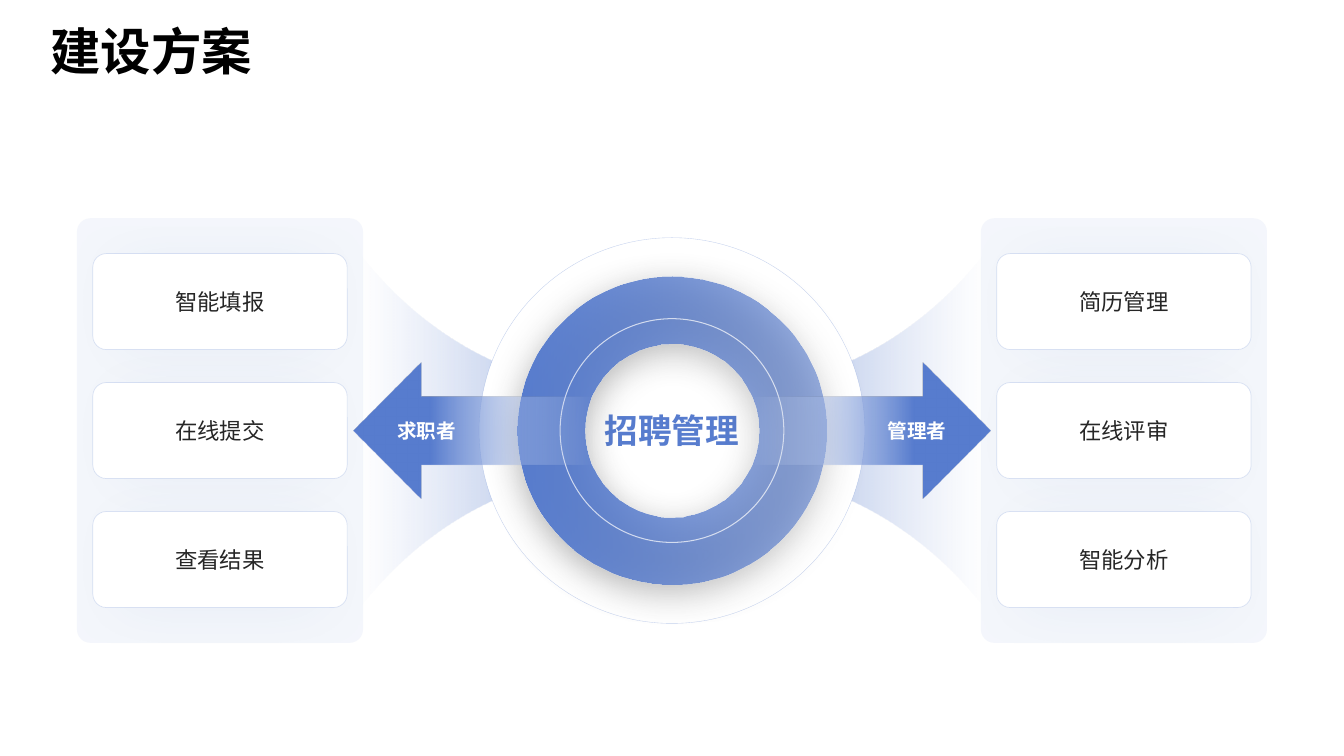
from lxml.etree import SubElement
from pptx import Presentation
from pptx.dml.color import RGBColor
from pptx.enum.shapes import MSO_SHAPE as Preset
from pptx.enum.text import MSO_ANCHOR as Anchor, MSO_AUTO_SIZE as AutoSize, PP_ALIGN as Align
from pptx.oxml.ns import qn
from pptx.util import Cm, Pt

SLIDE_WIDTH, SLIDE_HEIGHT = 33.87, 19.05
BLUE, PALE_BLUE, WHITE = "577CCE", "9AB0E2", "FFFFFF"
HEADING_FONT, LABEL_FONT = "Noto Sans CJK SC", "Arial"


def color(hex_string):
    return RGBColor.from_string(hex_string)


def set_alpha(color_element, percent):
    if percent < 100:
        SubElement(color_element, qn("a:alpha"), val=str(percent * 1000))


def fill_solid(fill, hex_string, alpha=100):
    """Works for a shape's fill and for a line's fill."""
    fill.solid()
    fill.fore_color.rgb = color(hex_string)
    set_alpha(fill._xPr.find(qn("a:solidFill"))[0], alpha)


def fill_gradient(shape, stops, angle):
    """Each of the two stops is (position, colour, alpha percent)."""
    shape.fill.gradient()
    shape.fill.gradient_angle = angle
    for stop, (position, hex_string, _) in zip(shape.fill.gradient_stops, stops):
        stop.position = position
        stop.color.rgb = color(hex_string)
    for element, (_, _, alpha) in zip(shape.element.iter(qn("a:gs")), stops):
        set_alpha(element[0], alpha)


def set_line(shape, hex_string, width, alpha):
    shape.line.width = Pt(width)
    fill_solid(shape.line.fill, hex_string, alpha)


def add_shadow(shape, hex_string, alpha, blur, distance, angle, scale=100):
    effects = shape.element.spPr.find(qn("a:effectLst"))
    shadow = SubElement(effects, qn("a:outerShdw"), blurRad=str(Pt(blur)), dist=str(Pt(distance)),
                        dir=str(angle * 60000), sx=str(scale * 1000), sy=str(scale * 1000),
                        algn="ctr", rotWithShape="0")
    set_alpha(SubElement(shadow, qn("a:srgbClr"), val=hex_string), alpha)


def add_plain_shape(slide, preset, left, top, width, height, adjustment=None):
    """A shape without shadow or line."""
    shape = slide.shapes.add_shape(preset, Cm(left), Cm(top), Cm(width), Cm(height))
    shape.shadow.inherit = False
    shape.line.fill.background()
    if adjustment is not None:
        shape.adjustments[0] = adjustment
    return shape


def write_text(shape, text, size, font_name, hex_string, bold=False, align=Align.CENTER,
               side_inset=0.25, end_inset=0):
    frame = shape.text_frame
    frame.word_wrap = True
    frame.auto_size = AutoSize.NONE
    frame.vertical_anchor = Anchor.MIDDLE
    frame.margin_left = frame.margin_right = Cm(side_inset)
    frame.margin_top = frame.margin_bottom = Cm(end_inset)
    paragraph = frame.paragraphs[0]
    paragraph.alignment = align
    run = paragraph.add_run()
    run.text = text
    run.font.size = Pt(size)
    run.font.bold = bold
    run.font.name = font_name
    run.font.color.rgb = color(hex_string)
    SubElement(run.font._element, qn("a:ea"), typeface=font_name)


def add_title(slide, left, top, width, height, text):
    title = slide.shapes.title
    title.left, title.top, title.width, title.height = Cm(left), Cm(top), Cm(width), Cm(height)
    write_text(title, text, 36, HEADING_FONT, "000000", True, Align.LEFT, side_inset=0)


def bend(segments):
    """Turn three straight segments into one curve through their end points."""
    first, *others = segments
    first.tag = qn("a:cubicBezTo")
    for segment in others:
        first.append(segment[0])
        segment.getparent().remove(segment)


def add_fan(slide, left, top, width, height, mirrored):
    """A flared band, widest on its outer side, with curved edges."""
    upper = [(1, 0.386), (0.62, 0.38), (0.256, 0.242), (0, 0)]
    outline = upper + [(x, 1 - y) for x, y in reversed(upper)]
    points = [(Cm(left + width * (1 - x if mirrored else x)), Cm(top + height * y))
              for x, y in outline]
    builder = slide.shapes.build_freeform(*points[0])
    builder.add_line_segments(points[1:], close=True)
    fan = builder.convert_to_shape()
    segments = list(fan.element.iter(qn("a:lnTo")))
    bend(segments[:3])
    bend(segments[4:7])
    fan.shadow.inherit = False
    fan.line.fill.background()
    fill_gradient(fan, ((0, PALE_BLUE, 0), (0.98, BLUE, 67)), 180 if mirrored else 0)


def add_hub(slide, left, top, size, text):
    def add_centred(preset, diameter, adjustment=None):
        margin = (size - diameter) / 2
        return add_plain_shape(slide, preset, left + margin, top + margin, diameter, diameter,
                               adjustment)

    disc = add_centred(Preset.OVAL, size)
    fill_solid(disc.fill, WHITE)
    set_line(disc, BLUE, 0.25, 35)
    add_shadow(disc, "000000", 13, 40, 3, 45, 75)
    write_text(disc, text, 24, HEADING_FONT, BLUE, True, side_inset=0)

    ring = add_centred(Preset.DONUT, size * 0.8, 0.219)
    fill_gradient(ring, ((0, BLUE, 59), (1, BLUE, 100)), 180)
    add_shadow(ring, "333333", 40, 25, 6, 90)

    circle = add_centred(Preset.OVAL, size * 0.58)
    circle.fill.background()
    set_line(circle, WHITE, 0.75, 70)


def add_panel(slide, left, top, width, height, labels):
    panel = add_plain_shape(slide, Preset.ROUNDED_RECTANGLE, left, top, width, height, 0.047)
    fill_solid(panel.fill, PALE_BLUE, 10)
    add_shadow(panel, "000000", 5, 25, 3, 90, 95)

    side_margin, end_margin, card_height = 0.4, 0.89, 2.42
    pitch = (height - 2 * end_margin - card_height) / (len(labels) - 1)
    for index, label in enumerate(labels):
        card = add_plain_shape(slide, Preset.ROUNDED_RECTANGLE, left + side_margin,
                               top + end_margin + index * pitch,
                               width - 2 * side_margin, card_height, 0.141)
        fill_solid(card.fill, WHITE)
        set_line(card, BLUE, 0.5, 20)
        add_shadow(card, "3257AA", 8, 40, 3, 90, 75)
        write_text(card, label, 16, LABEL_FONT, "262626", end_inset=0.13)


def add_role_arrow(slide, left, top, width, height, text, mirrored):
    preset = Preset.RIGHT_ARROW if mirrored else Preset.LEFT_ARROW
    arrow = add_plain_shape(slide, preset, left, top, width, height)
    fill_gradient(arrow, ((0, "DDE5F5", 0), (0.68, BLUE, 100)), 0 if mirrored else 180)
    write_text(arrow, text, 14, LABEL_FONT, WHITE, True, Align.RIGHT if mirrored else Align.LEFT)


def build_solution_slide(presentation):
    slide = presentation.slides.add_slide(presentation.slide_layouts[5])
    middle, hub_size = 10.85, 9.72
    sides = (
        (False, "求职者", ("智能填报", "在线提交", "查看结果")),
        (True, "管理者", ("简历管理", "在线评审", "智能分析")),
    )

    def place(left, width, height, mirrored):
        """A box centred on the middle line, reflected for the right side."""
        if mirrored:
            left = SLIDE_WIDTH - left - width
        return left, middle - height / 2, width, height

    add_title(slide, 1.27, 0.43, 31.32, 1.7, "建设方案")
    for mirrored, _, _ in sides:
        add_fan(slide, *place(9.1, 6.55, 8.81, mirrored), mirrored)
    add_hub(slide, (SLIDE_WIDTH - hub_size) / 2, middle - hub_size / 2, hub_size, "招聘管理")
    for mirrored, _, labels in sides:
        add_panel(slide, *place(1.94, 7.21, 10.7, mirrored), labels)
    for mirrored, role, _ in sides:
        add_role_arrow(slide, *place(8.91, 6.02, 3.42, mirrored), role, mirrored)


def main():
    presentation = Presentation()
    presentation.slide_width, presentation.slide_height = Cm(SLIDE_WIDTH), Cm(SLIDE_HEIGHT)
    build_solution_slide(presentation)
    presentation.save("out.pptx")


if __name__ == "__main__":
    main()
